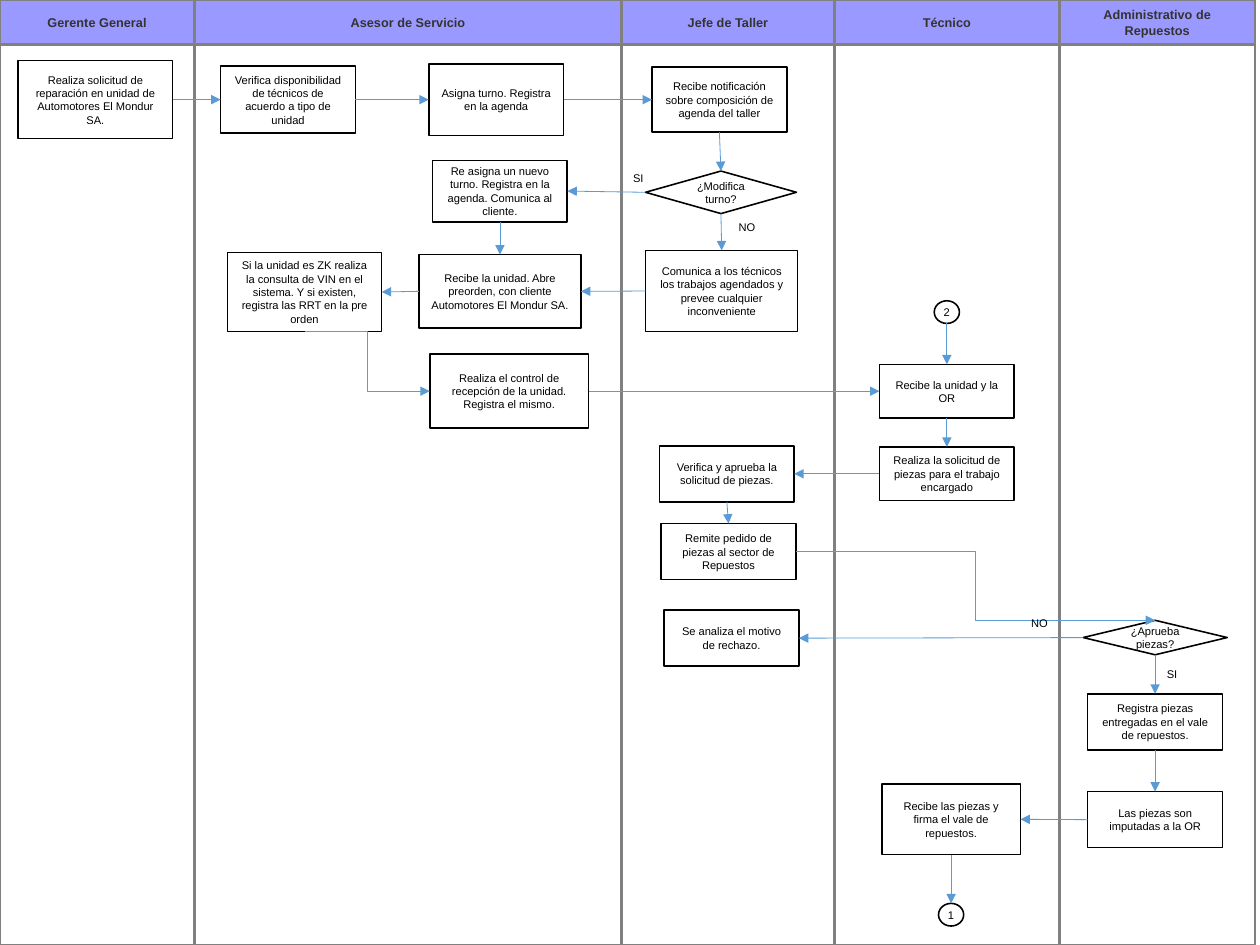
"""Draws the swimlane flowchart of a workshop service process."""
from dataclasses import dataclass

from lxml import etree
from pptx import Presentation
from pptx.dml.color import RGBColor
from pptx.enum.shapes import MSO_CONNECTOR, MSO_SHAPE
from pptx.enum.text import MSO_ANCHOR, PP_ALIGN
from pptx.oxml.ns import qn
from pptx.shapes.autoshape import Shape
from pptx.shapes.shapetree import SlideShapes
from pptx.util import Inches, Pt

RECTANGLE, DIAMOND, OVAL = MSO_SHAPE.RECTANGLE, MSO_SHAPE.DIAMOND, MSO_SHAPE.OVAL
STRAIGHT, ELBOW = MSO_CONNECTOR.STRAIGHT, MSO_CONNECTOR.ELBOW
CENTER, MIDDLE = PP_ALIGN.CENTER, MSO_ANCHOR.MIDDLE
TOP, LEFT, BOTTOM, RIGHT = range(4)

WHITE = RGBColor(0xFF, 0xFF, 0xFF)
BLACK = RGBColor(0x00, 0x00, 0x00)
LANE_GRAY = RGBColor(0x80, 0x80, 0x80)
HEADER_LILAC = RGBColor(0x99, 0x99, 0xFF)
HEADER_TEXT = RGBColor(0x33, 0x33, 0x33)
FLOW_BLUE = RGBColor(0x5B, 0x9B, 0xD5)

SLIDE_WIDTH, SLIDE_HEIGHT = Pt(793.75), Pt(595.25)
COLUMN, ROW = SLIDE_WIDTH / 100, SLIDE_HEIGHT / 100
STEP_WIDTH, WIDE_STEP, STEP_HEIGHT = 10.7, 12.25, 5.93
HEADER_HEIGHT = 4.72
TECHNICIAN, PARTS = 75.15, 91.68
LANE_EDGES = (0, 15.42, 49.35, 66.22, 84.09, 99.6)
LANE_TITLES = ("Gerente General", "Asesor de Servicio", "Jefe de Taller",
               "Técnico", "Administrativo de Repuestos")
FRAME_EDGES = ((0, 1), (1, 4), (2, 3), (0, 5))


@dataclass(frozen=True)
class Step:
    """A flowchart node, placed by its centre on the grid."""
    text: str
    column: float
    row: float
    width: float = STEP_WIDTH
    height: float = STEP_HEIGHT
    outline: MSO_SHAPE = RECTANGLE

    def side(self, site: int) -> tuple[int, int]:
        """Return the middle of one side."""
        across = {LEFT: -0.5, RIGHT: 0.5}.get(site, 0)
        down = {TOP: -0.5, BOTTOM: 0.5}.get(site, 0)
        return (round((self.column + across * self.width) * COLUMN),
                round((self.row + down * self.height) * ROW))


@dataclass(frozen=True)
class Flow:
    """An arrow between the sides of two steps."""
    source: str
    source_side: int
    target: str
    target_side: int
    route: MSO_CONNECTOR = STRAIGHT


@dataclass(frozen=True)
class Answer:
    """A decision outcome, placed by its centre on the grid."""
    text: str
    column: float
    row: float


STEPS = {
    "request": Step("Realiza solicitud de reparación en unidad de Automotores El Mondur SA.",
                    7.57, 10.55, WIDE_STEP, 8.25),
    "availability": Step("Verifica disponibilidad de técnicos de acuerdo a tipo de unidad",
                         22.86, 10.55, height=7.1),
    "appointment": Step("Asigna turno. Registra en la agenda", 39.38, 10.55, height=7.6),
    "notice": Step("Recibe notificación sobre composición de agenda del taller",
                   57.1, 10.55, height=6.9),
    "change": Step("¿Modifica turno?", 57.22, 20.35, 11.98, 4.5, DIAMOND),
    "reassign": Step("Re asigna un nuevo turno. Registra en la agenda. Comunica al cliente.",
                     39.68, 20.22, height=6.5),
    "inform": Step("Comunica a los técnicos los trabajos agendados y prevee cualquier inconveniente",
                   57.28, 30.8, 12.07, 8.6),
    "preorder": Step("Recibe la unidad. Abre preorden, con cliente Automotores El Mondur SA.",
                     39.68, 30.83, 12.85, 7.8),
    "lookup": Step("Si la unidad es ZK realiza la consulta de VIN en el sistema. "
                   "Y si existen, registra las RRT en la pre orden",
                   24.17, 30.9, WIDE_STEP, 8.35),
    "control": Step("Realiza el control de recepción de la unidad. Registra el mismo.",
                    40.41, 41.4, 12.6, 7.85),
    "reception": Step("Recibe la unidad y la OR", TECHNICIAN, 41.4, height=5.7),
    "piece_request": Step("Realiza la solicitud de piezas para el trabajo encargado",
                          TECHNICIAN, 50.14, height=5.7),
    "approval": Step("Verifica y aprueba la solicitud de piezas.", 57.69, 50.14),
    "order": Step("Remite pedido de piezas al sector de Repuestos", 57.82, 58.37),
    "pieces": Step("¿Aprueba piezas?", PARTS, 67.47, 11.43, 3.65, DIAMOND),
    "rejection": Step("Se analiza el motivo de rechazo.", 58.06, 67.53),
    "voucher": Step("Registra piezas entregadas en el vale de repuestos.", PARTS, 76.38),
    "charge": Step("Las piezas son imputadas a la OR", PARTS, 86.74),
    "delivery": Step("Recibe las piezas y firma el vale de repuestos.",
                     75.49, 86.7, 11, 7.45),
    "exit": Step("1", 75.49, 96.8, 2, 2.4, OVAL),
    "entry": Step("2", TECHNICIAN, 33.03, 2, 2.4, OVAL),
}
FLOWS = (
    Flow("request", RIGHT, "availability", LEFT),
    Flow("availability", RIGHT, "appointment", LEFT),
    Flow("appointment", RIGHT, "notice", LEFT),
    Flow("notice", BOTTOM, "change", TOP),
    Flow("change", LEFT, "reassign", RIGHT),
    Flow("change", BOTTOM, "inform", TOP),
    Flow("reassign", BOTTOM, "preorder", TOP),
    Flow("inform", LEFT, "preorder", RIGHT),
    Flow("preorder", LEFT, "lookup", RIGHT),
    Flow("lookup", BOTTOM, "control", LEFT, ELBOW),
    Flow("control", RIGHT, "reception", LEFT),
    Flow("entry", BOTTOM, "reception", TOP),
    Flow("reception", BOTTOM, "piece_request", TOP),
    Flow("piece_request", LEFT, "approval", RIGHT),
    Flow("approval", BOTTOM, "order", TOP),
    Flow("order", RIGHT, "pieces", TOP, ELBOW),
    Flow("pieces", LEFT, "rejection", RIGHT),
    Flow("pieces", BOTTOM, "voucher", TOP),
    Flow("voucher", BOTTOM, "charge", TOP),
    Flow("charge", LEFT, "delivery", RIGHT),
    Flow("delivery", BOTTOM, "exit", TOP),
)
ANSWERS = (Answer("SI", 50.66, 18.8), Answer("NO", 59.28, 24),
           Answer("NO", 82.5, 65.9), Answer("SI", 93.02, 71.3))


def grid_box(left: float, top: float, width: float, height: float) -> tuple[int, ...]:
    """Turn grid columns and rows into slide lengths."""
    return round(left * COLUMN), round(top * ROW), round(width * COLUMN), round(height * ROW)


def write(holder: Shape, text: str, size: float = 7, color: RGBColor = BLACK,
          bold: bool = False, padded: bool = True) -> None:
    """Write centred text into a shape."""
    frame = holder.text_frame
    frame.word_wrap = True
    frame.vertical_anchor = MIDDLE
    frame.margin_left = frame.margin_right = Inches(0.1 if padded else 0)
    frame.margin_top = frame.margin_bottom = Inches(0.05 if padded else 0)
    paragraph = frame.paragraphs[0]
    paragraph.alignment = CENTER
    run = paragraph.add_run()
    run.text = text
    run.font.name, run.font.size, run.font.bold = "Arial", Pt(size), bold
    run.font.color.rgb = color


def draw_block(shapes: SlideShapes, outline: MSO_SHAPE, box: tuple[int, ...],
               fill: RGBColor | None, border: RGBColor, weight: float) -> Shape:
    """Draw a flat outlined shape."""
    block = shapes.add_shape(outline, *box)
    block.shadow.inherit = False
    if fill is None:
        block.fill.background()
    else:
        block.fill.solid()
        block.fill.fore_color.rgb = fill
    block.line.color.rgb = border
    block.line.width = Pt(weight)
    return block


def draw_step(shapes: SlideShapes, step: Step) -> Shape:
    """Draw one flowchart node."""
    box = grid_box(step.column - step.width / 2, step.row - step.height / 2,
                   step.width, step.height)
    node = draw_block(shapes, step.outline, box, WHITE, BLACK, 1)
    write(node, step.text, padded=step.outline == RECTANGLE)
    return node


def draw_flow(shapes: SlideShapes, flow: Flow, nodes: dict[str, Shape]) -> None:
    """Draw one arrow, joined to its steps when straight."""
    source, target = STEPS[flow.source], STEPS[flow.target]
    arrow = shapes.add_connector(flow.route, *source.side(flow.source_side),
                                 *target.side(flow.target_side))
    if flow.route == STRAIGHT:
        if source.outline != OVAL:
            arrow.begin_connect(nodes[flow.source], flow.source_side)
        if target.outline != OVAL:
            arrow.end_connect(nodes[flow.target], flow.target_side)
    arrow.line.color.rgb = FLOW_BLUE
    arrow.line.width = Pt(0.5)
    etree.SubElement(arrow.get_or_add_ln(), qn("a:tailEnd"), type="triangle")
    etree.SubElement(arrow.element.spPr, qn("a:effectLst"))


def main() -> None:
    """Build and save the slide."""
    deck = Presentation()
    deck.slide_width, deck.slide_height = SLIDE_WIDTH, SLIDE_HEIGHT
    shapes = deck.slides.add_slide(deck.slide_layouts[6]).shapes
    for first, last in FRAME_EDGES:
        left, right = LANE_EDGES[first], LANE_EDGES[last]
        draw_block(shapes, RECTANGLE, grid_box(left, 0, right - left, 100), None, LANE_GRAY, 1.7)
    for title, left, right in zip(LANE_TITLES, LANE_EDGES, LANE_EDGES[1:]):
        box = grid_box(left, 0, right - left, HEADER_HEIGHT)
        header = draw_block(shapes, RECTANGLE, box, HEADER_LILAC, LANE_GRAY, 1.7)
        write(header, title, 8, HEADER_TEXT, bold=True)
    nodes = {key: draw_step(shapes, step) for key, step in STEPS.items()}
    for flow in FLOWS:
        draw_flow(shapes, flow, nodes)
    for answer in ANSWERS:
        label = shapes.add_textbox(*grid_box(answer.column - 1.6, answer.row - 1.25, 3.2, 2.5))
        write(label, answer.text, padded=False)
    deck.save("out.pptx")


if __name__ == "__main__":
    main()
